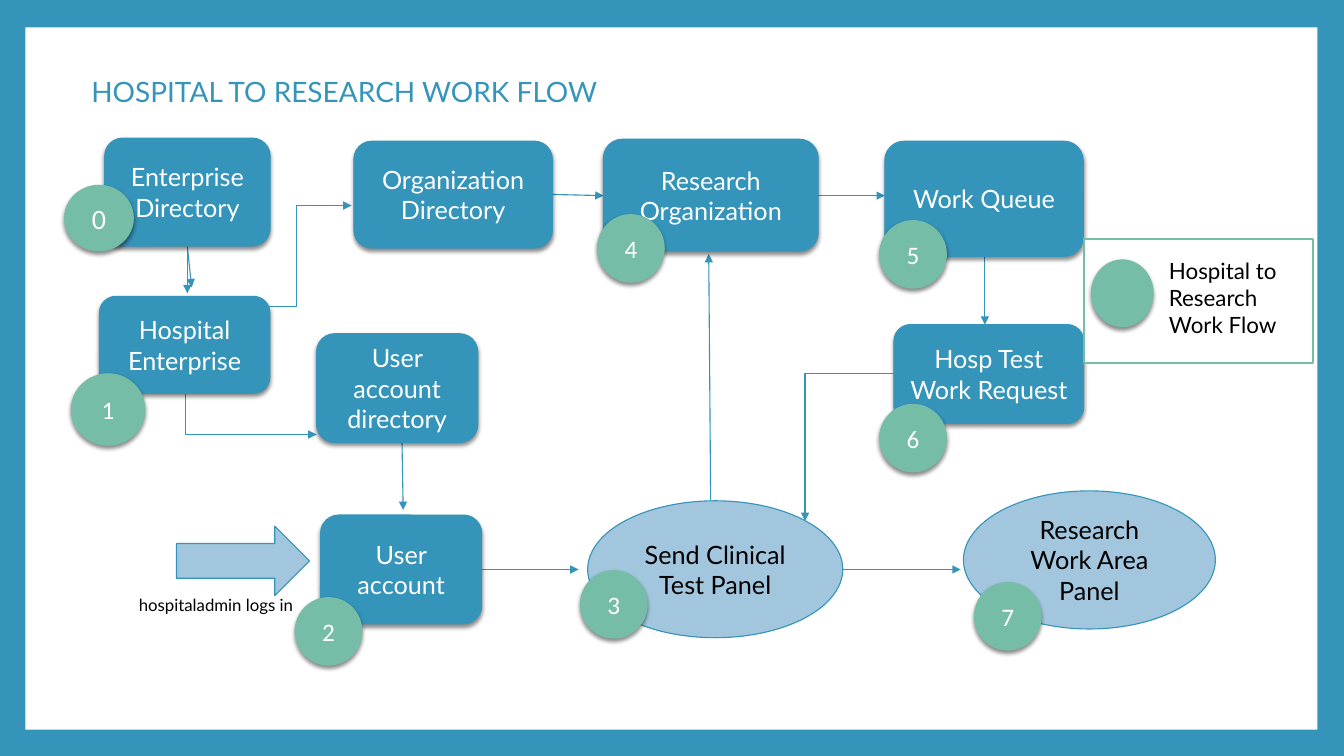
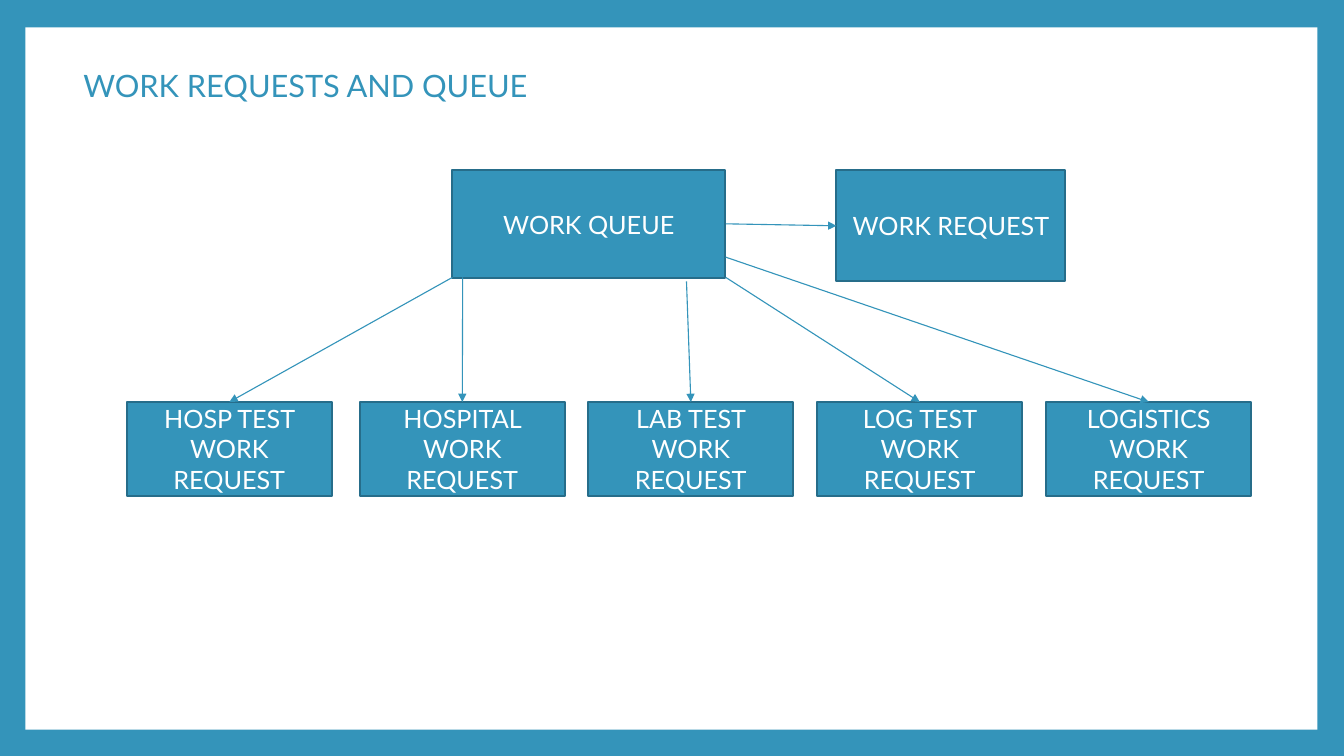
from lxml import etree
from pptx import Presentation
from pptx.dml.color import RGBColor
from pptx.enum.shapes import MSO_CONNECTOR, MSO_SHAPE
from pptx.enum.text import MSO_ANCHOR, PP_ALIGN
from pptx.oxml.ns import qn
from pptx.util import Cm, Pt

RECT, ROUNDED = MSO_SHAPE.RECTANGLE, MSO_SHAPE.ROUNDED_RECTANGLE
CIRCLE, RIGHT_ARROW = MSO_SHAPE.FLOWCHART_CONNECTOR, MSO_SHAPE.RIGHT_ARROW
STRAIGHT, ELBOW = MSO_CONNECTOR.STRAIGHT, MSO_CONNECTOR.ELBOW
LEFT, CENTER, MIDDLE = PP_ALIGN.LEFT, PP_ALIGN.CENTER, MSO_ANCHOR.MIDDLE

HEX = {"blue": "3494BA", "dark": "266D8A", "pale": "A2C6DE",
       "green": "75BDA7", "white": "FFFFFF", "black": "000000"}
COLOR = {name: RGBColor.from_string(value) for name, value in HEX.items()}
THIN, THICK = Pt(0.79), Pt(1.5)

# Each style: preset, fill, line, line width, text colour, font, shadow
STYLES = {
    "panel": (RECT, "white", None, None, "black", "Lato", False),
    "step": (ROUNDED, "blue", "blue", THIN, "white", "Lato", True),
    "screen": (CIRCLE, "pale", "blue", THIN, "black", "Lato", False),
    "login": (RIGHT_ARROW, "pale", "blue", THIN, "black", "Lato", False),
    "badge": (CIRCLE, "green", "green", THIN, "white", "Calibri", True),
    "legend": (RECT, "white", "green", THICK, "black", "Lato", False),
    "class": (RECT, "blue", "dark", THICK, "white", "Lato", False),
}


def add_block(slide, style, at, text="", size=18):
    """Add a shape in a named style; at is left, top, width, height in cm."""
    preset, fill, line, weight, color, font, shadow = STYLES[style]
    sp = slide.shapes.add_shape(preset, *map(Cm, at))
    sp.fill.solid()
    sp.fill.fore_color.rgb = COLOR[fill]
    if line:
        sp.line.color.rgb = COLOR[line]
        sp.line.width = weight
    else:
        sp.line.fill.background()
    sp.shadow.inherit = False
    if shadow:
        effects = sp.element.spPr.find(qn("a:effectLst"))
        outer = etree.SubElement(effects, qn("a:outerShdw"), blurRad=str(Pt(3)),
                                 dist=str(Pt(2)), dir="5400000", rotWithShape="0")
        shade = etree.SubElement(outer, qn("a:srgbClr"), val=HEX["black"])
        etree.SubElement(shade, qn("a:alpha"), val="45000")
    if text:
        tf = sp.text_frame
        tf.text = text
        tf.vertical_anchor = MIDDLE
        for p in tf.paragraphs:
            p.alignment = CENTER
            for r in p.runs:
                r.font.size, r.font.name = Pt(size), font
                r.font.color.rgb = COLOR[color]
    return sp


def add_arrow(slide, start, end, kind=STRAIGHT, tip="a:tailEnd", one_bend=False):
    """Add an arrow between two points in cm; tip names the end with the head."""
    cx = slide.shapes.add_connector(kind, *map(Cm, start + end))
    cx.line.color.rgb = COLOR["blue"]
    cx.line.width = THIN
    spPr = cx.element.spPr
    etree.SubElement(spPr.find(qn("a:ln")), qn(tip), type="triangle")
    etree.SubElement(spPr, qn("a:effectLst"))
    if one_bend:
        spPr.find(qn("a:prstGeom")).set("prst", "bentConnector2")


prs = Presentation()
prs.slide_width, prs.slide_height = Cm(33.87), Cm(19.05)
layout = prs.slide_layouts[5]

# Shared frame: blue background and titles
background = prs.slide_master.background.fill
background.solid()
background.fore_color.rgb = COLOR["blue"]
titles = [("HOSPITAL TO RESEARCH WORK FLOW", 2.3, 1.56, 20),
          ("WORK REQUESTS AND QUEUE", 2.1, 1.4, 22)]
for text, left, top, size in titles:
    title = prs.slides.add_slide(layout).shapes.title
    title.left, title.top, title.width, title.height = map(Cm, (left, top, 28, 1.5))
    tf = title.text_frame
    tf.text = text
    tf.margin_left = tf.margin_right = tf.margin_top = tf.margin_bottom = 0
    tf.vertical_anchor = MIDDLE
    p = tf.paragraphs[0]
    p.alignment = LEFT
    r = p.runs[0]
    r.font.size, r.font.name = Pt(size), "Lato"
    r.font.color.rgb = COLOR["blue"]
flow, queue = prs.slides

# The white panel belongs to the layout, behind its placeholders
panel = add_block(flow, "panel", (0.64, 0.69, 32.56, 17.7))
layout.shapes.element.insert(2, panel.element)

# Slide 1: work flow
for start, end in [
    ((17.91, 12.65), (17.86, 6.4)),
    ((10.13, 11.1), (10.16, 12.85)),
    ((4.72, 6.2), (4.72, 7.39)),
    ((4.72, 6.2), (4.83, 7.24)),
    ((12.12, 14.35), (14.58, 14.35)),
    ((13.92, 4.9), (15.21, 4.93)),
    ((20.62, 4.93), (22.3, 4.93)),
    ((24.82, 6.45), (24.82, 8.18)),
    ((21.23, 14.35), (24.21, 14.35)),
]:
    add_arrow(flow, start, end)
add_arrow(flow, (6.1, 7.72), (8.86, 5.18), ELBOW)
add_arrow(flow, (7.98, 10.95), (4.67, 9.91), ELBOW, "a:headEnd", one_bend=True)

for style, text, at in [
    ("step", "Enterprise Directory", (2.64, 3.48, 4.17, 2.72)),
    ("step", "Hospital Enterprise", (2.51, 7.47, 4.29, 2.44)),
    ("step", "Organization Directory", (8.92, 3.56, 5, 2.69)),
    ("step", "User account directory", (7.98, 8.41, 4.06, 2.74)),
    ("step", "User account", (8.08, 12.98, 4.06, 2.74)),
    ("step", "Research\nOrganization", (15.21, 3.51, 5.41, 2.82)),
    ("step", "Work Queue", (22.3, 3.56, 5, 2.9)),
    ("step", "Hosp Test Work Request", (22.53, 8.18, 4.78, 2.49)),
    ("screen", "Send Clinical Test Panel", (14.81, 12.62, 6.43, 3.45)),
    ("screen", "Research Work Area Panel", (24.28, 12.37, 6.35, 3.48)),
    ("login", "", (4.45, 13.26, 3.35, 1.75)),
    ("legend", "", (27.31, 6.02, 5.79, 3.12)),
    ("badge", "", (27.51, 6.55, 1.55, 1.68)),
]:
    add_block(flow, style, at, text)
add_arrow(flow, (22.53, 9.42), (20.29, 13.13), ELBOW, one_bend=True)

add_block(flow, "badge", (1.63, 4.67, 1.73, 1.65), "0", 20)
add_block(flow, "badge", (1.8, 9.42, 1.85, 1.8), "1")
badges = [(7.44, 15.06), (14.63, 14.38), (15.06, 5.41),
          (22.17, 5.56), (22.17, 10.19), (24.56, 14.68)]
for number, (left, top) in enumerate(badges, start=2):
    add_block(flow, "badge", (left, top, 1.68, 1.7), str(number))

for text, at, size in [
    ("hospitaladmin logs in", (3.25, 14.86, 4.47, 0.76), 12),
    ("Hospital to Research Work Flow", (29.21, 6.35, 3.71, 3.07), 16),
]:
    tf = flow.shapes.add_textbox(*map(Cm, at)).text_frame
    tf.word_wrap = True
    tf.text = text
    r = tf.paragraphs[0].runs[0]
    r.font.size, r.font.name = Pt(size), "Lato"
    r.font.color.rgb = COLOR["black"]

# Slide 2: the queue and its kinds of request
add_block(queue, "class", (11.4, 4.29, 6.88, 2.72), "WORK QUEUE")
add_block(queue, "class", (21.08, 4.29, 5.77, 2.79), "WORK REQUEST")
add_arrow(queue, (18.29, 5.64), (21.08, 5.69))
child_top, child_width, child_height = 10.13, 5.16, 2.36
for kind, left, start in [
    ("HOSP TEST", 3.2, (11.4, 6.99)),
    ("HOSPITAL", 9.07, (11.66, 6.99)),
    ("LAB TEST", 14.83, (17.3, 7.09)),
    ("LOG TEST", 20.6, (18.29, 6.99)),
    ("LOGISTICS", 26.37, (18.29, 6.48)),
]:
    add_block(queue, "class", (left, child_top, child_width, child_height),
              f"{kind} WORK REQUEST")
    add_arrow(queue, start, (left + child_width / 2, child_top))

prs.save("out.pptx")
